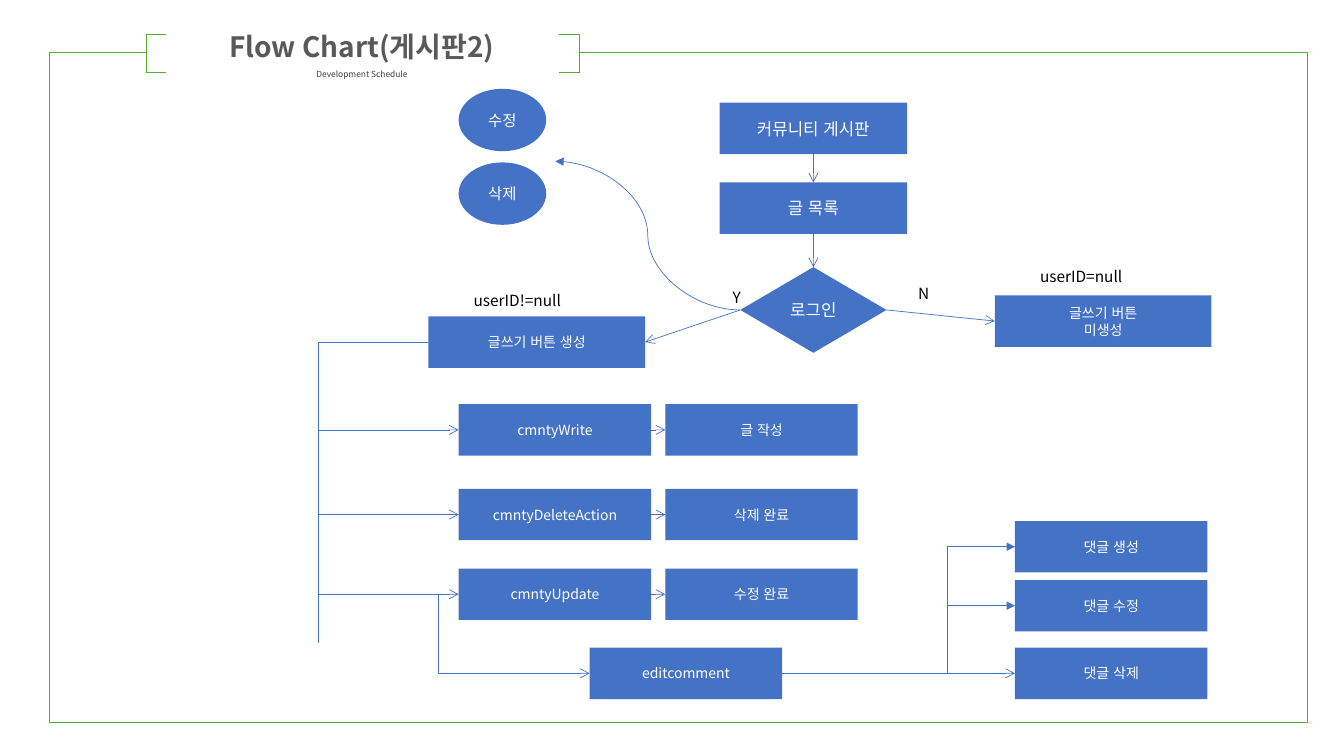
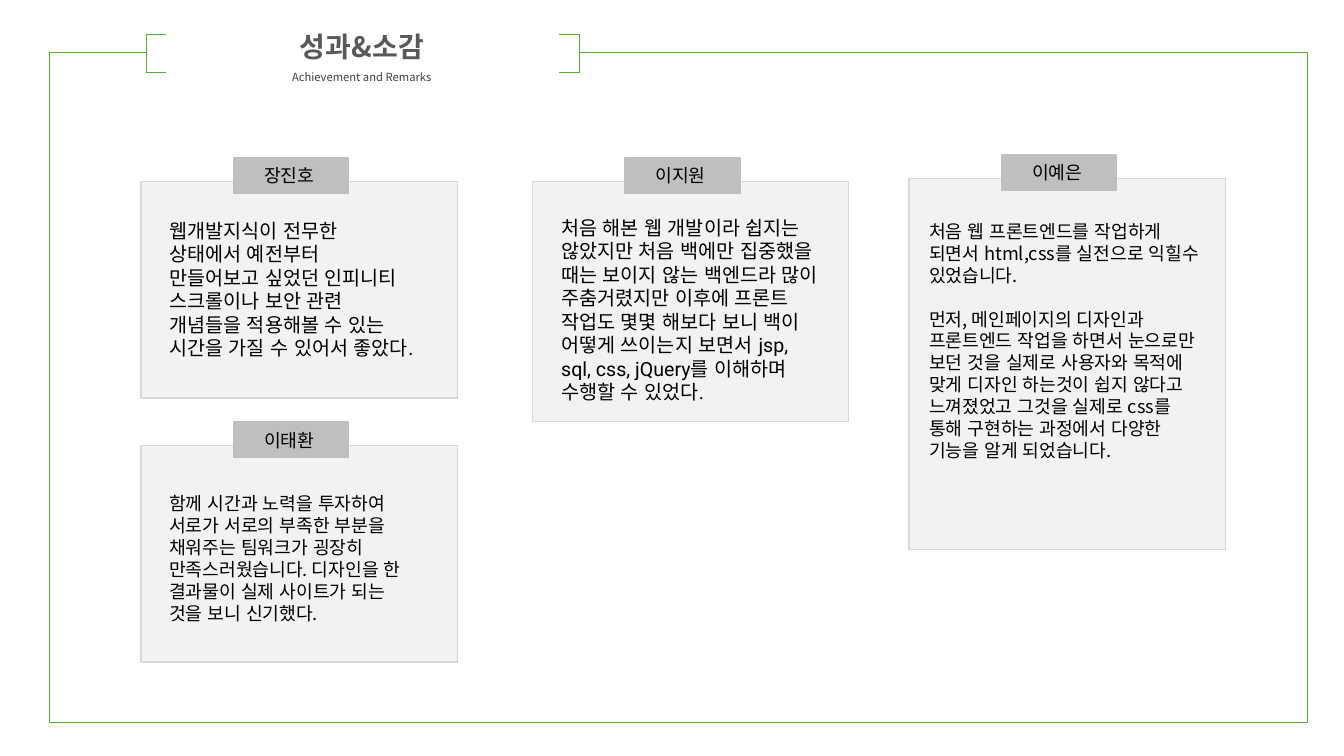
import lxml.etree
import pptx
import pptx.dml.color
import pptx.enum.lang
import pptx.enum.shapes
import pptx.enum.text
import pptx.oxml.ns
import pptx.util

Pt = pptx.util.Pt
qn = pptx.oxml.ns.qn
Shape = pptx.enum.shapes.MSO_SHAPE
Link = pptx.enum.shapes.MSO_CONNECTOR
Align = pptx.enum.text.PP_ALIGN
Anchor = pptx.enum.text.MSO_ANCHOR
TOP, LEFT, BOTTOM, RIGHT = range(4)


def ink(code):
    return pptx.dml.color.RGBColor.from_string(code)


def child(owner, tag, **traits):
    return lxml.etree.SubElement(owner, qn(tag), **traits)


class Deck:
    sans = "Noto Sans CJK KR"
    green = "54B034"
    blue = "4472C4"
    white = "FFFFFF"
    black = "000000"
    lead = 1.2

    def __init__(self):
        self.show = pptx.Presentation()
        self.show.slide_width = Pt(960)
        self.show.slide_height = Pt(540)
        self.slide = None

    def page(self, title, note, size):
        self.slide = self.show.slides.add_slide(self.show.slide_layouts[5])
        self.block(Shape.RECTANGLE, (35.3, 37.4, 898.6, 478.8), None, self.green, 0.75)
        self.band()
        head = self.slide.shapes.title
        self.slide.shapes._spTree.append(head._element)
        head.left, head.top, head.width, head.height = map(Pt, (106.6, 5.8, 303.8, 55))
        frame = head.text_frame
        frame.text = f"{title}\n{note}"
        frame.auto_size = pptx.enum.text.MSO_AUTO_SIZE.NONE
        frame.vertical_anchor = Anchor.TOP
        main, sub = frame.paragraphs
        self.style(main, 20, "595959", Align.CENTER, bold=True, lead=1.8)
        self.style(sub, size, "404040", Align.CENTER, lead=1.8)

    def band(self):
        widths = (14.4, 280.8, 14.4)
        area = map(Pt, (104.4, 24.5, sum(widths), 27.4))
        table = self.slide.shapes.add_table(1, 3, *area).table
        table.first_row = table.horz_banding = False
        for spot, (width, sides) in enumerate(zip(widths, ("LTB", "", "RTB"))):
            table.columns[spot].width = Pt(width)
            cell = table.cell(0, spot)
            cell.margin_left = cell.margin_right = cell.margin_top = cell.margin_bottom = 0
            cell.fill.solid()
            cell.fill.fore_color.rgb = ink(self.white)
            props = cell._tc.get_or_add_tcPr()
            for place, side in enumerate("LRTB"):
                edge = child(props, f"a:ln{side}", w=str(Pt(0.75)))
                if side in sides:
                    child(child(edge, "a:solidFill"), "a:srgbClr", val=self.green)
                else:
                    child(edge, "a:noFill")
                props.insert(place, edge)

    def style(self, par, size, color, align=Align.LEFT, bold=False, face=None, lead=lead):
        par.alignment = align
        par.line_spacing = Pt(size * lead)
        font = par.font
        font.size = Pt(size)
        font.bold = bold
        font.color.rgb = ink(color)
        font.name = face or self.sans
        font.language_id = pptx.enum.lang.MSO_LANGUAGE_ID.KOREAN
        child(font._element, "a:ea", typeface=self.sans)

    def words(self, frame, text, size, color, **looks):
        frame.word_wrap = True
        frame.text = text
        for par in frame.paragraphs:
            self.style(par, size, color, **looks)

    def block(self, kind, area, fill, line=None, weight=1):
        shape = self.slide.shapes.add_shape(kind, *map(Pt, area))
        shape.shadow.inherit = False
        if fill:
            shape.fill.solid()
            shape.fill.fore_color.rgb = ink(fill)
        else:
            shape.fill.background()
        if line:
            shape.line.color.rgb = ink(line)
            shape.line.width = Pt(weight)
        else:
            shape.line.fill.background()
        return shape

    def node(self, text, left, top, width=137.5, height=36.7, size=10, kind=Shape.RECTANGLE):
        shape = self.block(kind, (left, top, width, height), self.blue)
        frame = shape.text_frame
        frame.margin_left = frame.margin_right = 0
        self.words(frame, text, size, self.white, align=Align.CENTER)
        return shape

    def label(self, text, left, top, width, height=21, size=11, **looks):
        box = self.slide.shapes.add_textbox(*map(Pt, (left, top, width, height)))
        self.words(box.text_frame, text, size, self.black, **looks)
        return box.text_frame

    def spot(self, end):
        owner, side = end
        if isinstance(owner, (int, float)):
            return Pt(owner), Pt(side)
        across = {LEFT: 0, RIGHT: owner.width}.get(side, owner.width // 2)
        down = {TOP: 0, BOTTOM: owner.height}.get(side, owner.height // 2)
        return owner.left + across, owner.top + down

    def link(self, start, end, kind=Link.STRAIGHT, tail="arrow", bend=None):
        line = self.slide.shapes.add_connector(kind, *self.spot(start), *self.spot(end))
        if kind == Link.STRAIGHT:
            for point, join in ((start, line.begin_connect), (end, line.end_connect)):
                if not isinstance(point[0], (int, float)):
                    join(*point)
        line.line.color.rgb = ink(self.blue)
        line.line.width = Pt(0.5)
        if tail:
            child(line.line._get_or_add_ln(), "a:tailEnd", type=tail)
        props = line._element.spPr
        child(props, "a:effectLst")
        if bend:
            guides = props.find(qn("a:prstGeom")).find(qn("a:avLst"))
            child(guides, "a:gd", name="adj1", fmla=f"val {bend}")

    def card(self, name, left, top, height):
        self.block(Shape.RECTANGLE, (left, top, 226, height), "F2F2F2", "D9D9D9")
        tag = self.block(
            Shape.RECTANGLE, (left + 66.3, top - 16.7, 82, 25.2), "BFBFBF", "BFBFBF"
        )
        tag.text_frame.margin_left = Pt(21.6)
        self.words(tag.text_frame, name, 13, self.black)


def chart(deck):
    deck.page("Flow Chart(게시판2)", "Development Schedule", 6)
    board = deck.node("커뮤니티 게시판", 514, 73.4, 134, size=12)
    posts = deck.node("글 목록", 514, 130.3, 134, size=12)
    login = deck.node("로그인", 528.8, 190.8, 104.4, 61.2, 12, Shape.DIAMOND)
    hidden = deck.node("글쓰기 버튼\n미생성", 710.6, 211, 154.8)
    button = deck.node("글쓰기 버튼 생성", 306, 226, 154.8)
    for text, top in (("수정", 63.4), ("삭제", 116)):
        deck.node(text, 327.6, top, 62.6, 44.6, 11, Shape.OVAL)

    deck.link((board, BOTTOM), (posts, TOP))
    deck.link((posts, BOTTOM), (login, TOP))
    deck.link((login, LEFT), (button, RIGHT))
    deck.link((login, RIGHT), (hidden, LEFT))
    deck.link((login, LEFT), (396.7, 115.2), Link.CURVE, "triangle")

    trunk = 227.5
    deck.link((button, LEFT), (trunk, 244.35), tail=None)
    deck.link((trunk, 244.35), (trunk, 459.4), tail=None)
    steps = (
        ("cmntyWrite", "글 작성", 288.7),
        ("cmntyDeleteAction", "삭제 완료", 349.2),
        ("cmntyUpdate", "수정 완료", 406.1),
    )
    for call, result, top in steps:
        action = deck.node(call, 327.6, top)
        done = deck.node(result, 475.2, top)
        deck.link((trunk, top + 18.35), (action, LEFT))
        deck.link((action, RIGHT), (done, LEFT))

    edit = deck.node("editcomment", 421.2, 462.6)
    deck.link((234.7, 424.45), (edit, LEFT), Link.ELBOW, bend=41900)
    made, changed, erased = [
        deck.node(text, 725, top)
        for text, top in (("댓글 생성", 372.2), ("댓글 수정", 414.3), ("댓글 삭제", 462.6))
    ]
    deck.link((edit, RIGHT), (erased, LEFT))
    for reply in (made, changed):
        deck.link((629, 480.95), (reply, LEFT), Link.ELBOW, "triangle")

    deck.label("Y", 516.2, 202.3, 25)
    deck.label("N", 648.7, 199.4, 27)
    deck.label("userID!=null", 331.2, 204.5, 106)
    deck.label("userID=null", 735.8, 187.2, 90)


def remarks(deck):
    deck.page("성과&소감", "Achievement and Remarks", 8)
    deck.card("장진호", 100.8, 129.6, 154.8)
    deck.label(
        "웹개발지식이 전무한 상태에서 예전부터 만들어보고 싶었던 인피니티 스크롤이나 "
        "보안 관련 개념들을 적용해볼 수 있는 시간을 가질 수 있어서 좋았다.",
        113.8, 152.6, 188.6, 109, 14, face="Roboto",
    )
    deck.card("이지원", 380.2, 129.6, 171.4)
    deck.label(
        "처음 해본 웹 개발이라 쉽지는 않았지만 처음 백에만 집중했을 때는 보이지 않는 "
        "백엔드라 많이 주춤거렸지만 이후에 프론트 작업도 몇몇 해보다 보니 백이 어떻게 "
        "쓰이는지 보면서 jsp, sql, css, jQuery를 이해하며 수행할 수 있었다.",
        393.8, 150.5, 199.4, 158, 14, face="Roboto",
    )
    deck.card("이예은", 649.4, 127.4, 265)
    frame = deck.label(
        "처음 웹 프론트엔드를 작업하게 되면서 html,css를 실전으로 익힐수 있었습니다.\n"
        "먼저, 메인페이지의 디자인과\n"
        "프론트엔드 작업을 하면서 눈으로만 보던 것을 실제로 사용자와 목적에 맞게 디자인 "
        "하는것이 쉽지 않다고 느껴졌었고 그것을 실제로 css를 통해 구현하는 과정에서 "
        "다양한 기능을 알게 되었습니다.",
        656.6, 154, 210.2, 212, 13,
    )
    frame.paragraphs[1].space_before = Pt(15.6)
    deck.card("이태환", 100.8, 318.2, 154.8)
    deck.label(
        "함께 시간과 노력을 투자하여 서로가 서로의 부족한 부분을 채워주는 팀워크가 "
        "굉장히 만족스러웠습니다. 디자인을 한 결과물이 실제 사이트가 되는 것을 보니 "
        "신기했다.",
        113.8, 348.5, 188.6, 117, 13,
    )


def main():
    deck = Deck()
    chart(deck)
    remarks(deck)
    deck.show.save("out.pptx")


if __name__ == "__main__":
    main()
